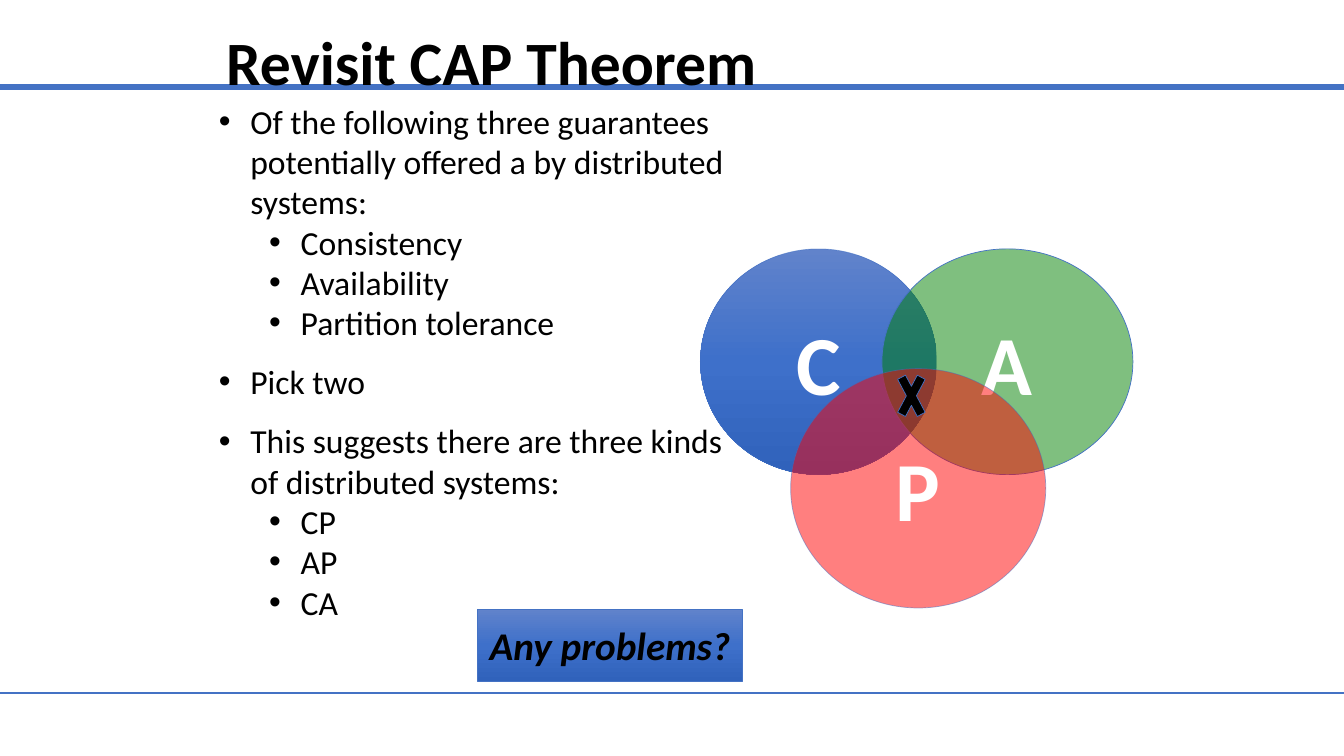
"""Builds the slide that revisits the CAP theorem with a Venn diagram."""
from copy import deepcopy

from lxml.etree import SubElement
from pptx import Presentation
from pptx.dml.color import RGBColor
from pptx.enum.shapes import MSO_CONNECTOR, MSO_SHAPE
from pptx.enum.text import MSO_ANCHOR, PP_ALIGN
from pptx.oxml.ns import qn
from pptx.util import Pt

PX = 9525
WIDTH, HEIGHT = 1280, 720
COLORS = {
    "black": "000000",
    "white": "FFFFFF",
    "accent": "4472C4",
    "outline": "3F6FC3",
    "green": "008000",
    "red": "FF0000",
}
BLUE_GRADIENT = [(0, "6183CB"), (0.5, "3E70CA"), (1, "3062BB")]


def add_run(paragraph, text, size, color, bold=False, italic=False):
    run = paragraph.add_run()
    run.text = text
    run.font.name = "Calibri"
    run.font.size = Pt(size)
    run.font.bold = bold
    run.font.italic = italic
    run.font.color.rgb = RGBColor.from_string(COLORS[color])


def add_figure(kind, box, fill, line, clear_parts=()):
    shape = slide.shapes.add_shape(kind, *[value * PX for value in box])
    shape.shadow.inherit = False
    properties = shape._element.spPr
    if fill == "gradient":
        shape.fill.gradient()
        stop_list = properties.find(qn("a:gradFill")).find(qn("a:gsLst"))
        stop_list.append(deepcopy(stop_list[0]))
        for stop, (position, color) in zip(shape.fill.gradient_stops, BLUE_GRADIENT):
            stop.position = position
            stop.color.rgb = RGBColor.from_string(color)
        shape.fill.gradient_angle = 270
    else:
        shape.fill.solid()
        shape.fill.fore_color.rgb = RGBColor.from_string(COLORS[fill])
    shape.line.width = Pt(0.5)
    shape.line.color.rgb = RGBColor.from_string(COLORS[line])
    for part in clear_parts:
        for color in properties.xpath(f"{part}/a:srgbClr"):
            SubElement(color, qn("a:alpha"), val="50000")
    shape.text_frame.vertical_anchor = MSO_ANCHOR.MIDDLE
    shape.text_frame.word_wrap = False
    shape.text_frame.paragraphs[0].alignment = PP_ALIGN.CENTER
    return shape


presentation = Presentation()
presentation.slide_width = WIDTH * PX
presentation.slide_height = HEIGHT * PX
slide = presentation.slides.add_slide(presentation.slide_layouts[6])

for y, weight in [(83, 4.5), (660, 1.5)]:
    rule = slide.shapes.add_connector(MSO_CONNECTOR.STRAIGHT, 0, y * PX, WIDTH * PX, y * PX)
    rule.line.width = Pt(weight)
    rule.line.color.rgb = RGBColor.from_string(COLORS["accent"])
    SubElement(rule._element.spPr, qn("a:effectLst"))

title = slide.shapes.add_textbox(206 * PX, 12 * PX, 896 * PX, 100 * PX)
title.text_frame.word_wrap = True
title.text_frame.vertical_anchor = MSO_ANCHOR.MIDDLE
title.text_frame.paragraphs[0].line_spacing = 0.9
add_run(title.text_frame.paragraphs[0], "Revisit CAP Theorem", 44, "black", bold=True)

FILL, LINE = "a:solidFill", "a:ln/a:solidFill"
circles = [
    ("C", (667, 237, 225, 215), "gradient", "outline", [LINE]),
    ("A", (840, 237, 239, 215), "green", "accent", [FILL]),
    ("P", (753, 351, 243, 228), "red", "outline", [FILL, LINE]),
]
for letter, box, fill, line, clear_parts in circles:
    circle = add_figure(MSO_SHAPE.OVAL, box, fill, line, clear_parts)
    add_run(circle.text_frame.paragraphs[0], letter, 60, "white", bold=True)
add_figure(MSO_SHAPE.MATH_MULTIPLY, (850, 343, 36, 68), "black", "accent")

bullets = [
    (0, 0, "Of the following three guarantees potentially offered a by distributed systems:"),
    (1, 0, "Consistency"),
    (1, 0, "Availability"),
    (1, 0, "Partition tolerance"),
    (0, 13.4, "Pick two"),
    (0, 13.4, "This suggests there are three kinds of distributed systems:"),
    (1, 0, "CP"),
    (1, 0, "AP"),
    (1, 0, "CA"),
]
body = slide.shapes.add_textbox(199 * PX, 91 * PX, 514 * PX, 511 * PX)
body.text_frame.word_wrap = True
for index, (level, gap, text) in enumerate(bullets):
    paragraph = body.text_frame.add_paragraph() if index else body.text_frame.paragraphs[0]
    paragraph.level = level
    properties = paragraph._p.get_or_add_pPr()
    properties.set("marL", str((30 + 48 * level) * PX))
    properties.set("indent", str(-30 * PX))
    SubElement(properties, qn("a:buFont"), typeface="Arial")
    SubElement(properties, qn("a:buChar"), char="•")
    paragraph.space_before = Pt(gap)
    add_run(paragraph, text, 24, "black")

question = add_figure(MSO_SHAPE.RECTANGLE, (455, 580, 252, 69), "gradient", "accent")
add_run(question.text_frame.paragraphs[0], "Any problems?", 28, "black", bold=True, italic=True)

presentation.save("out.pptx")
